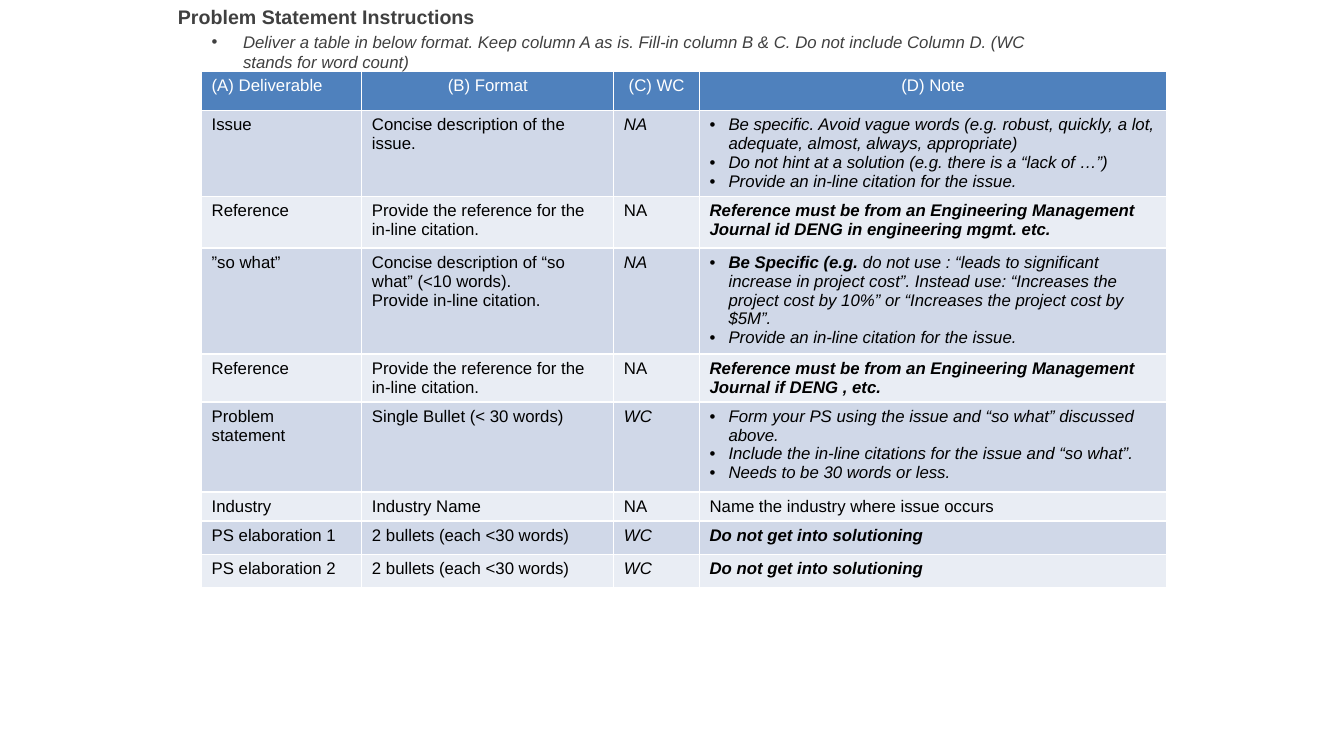
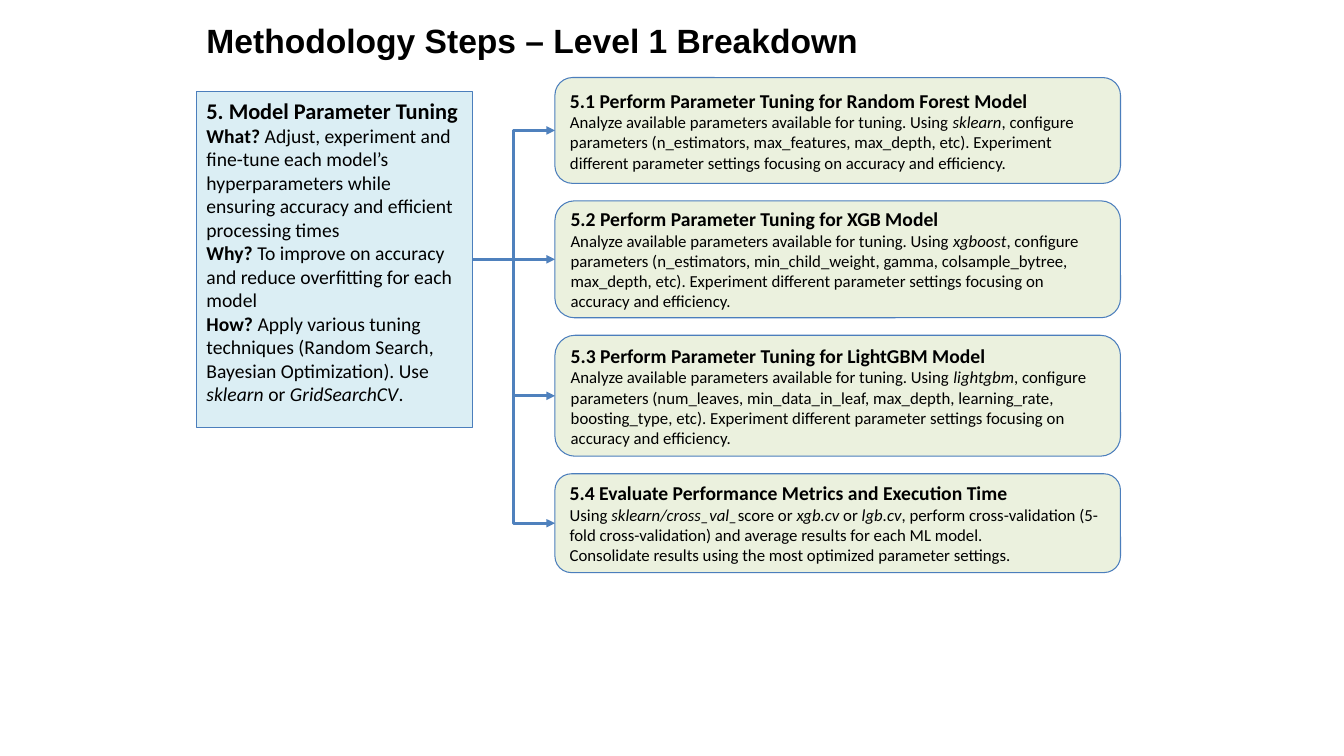
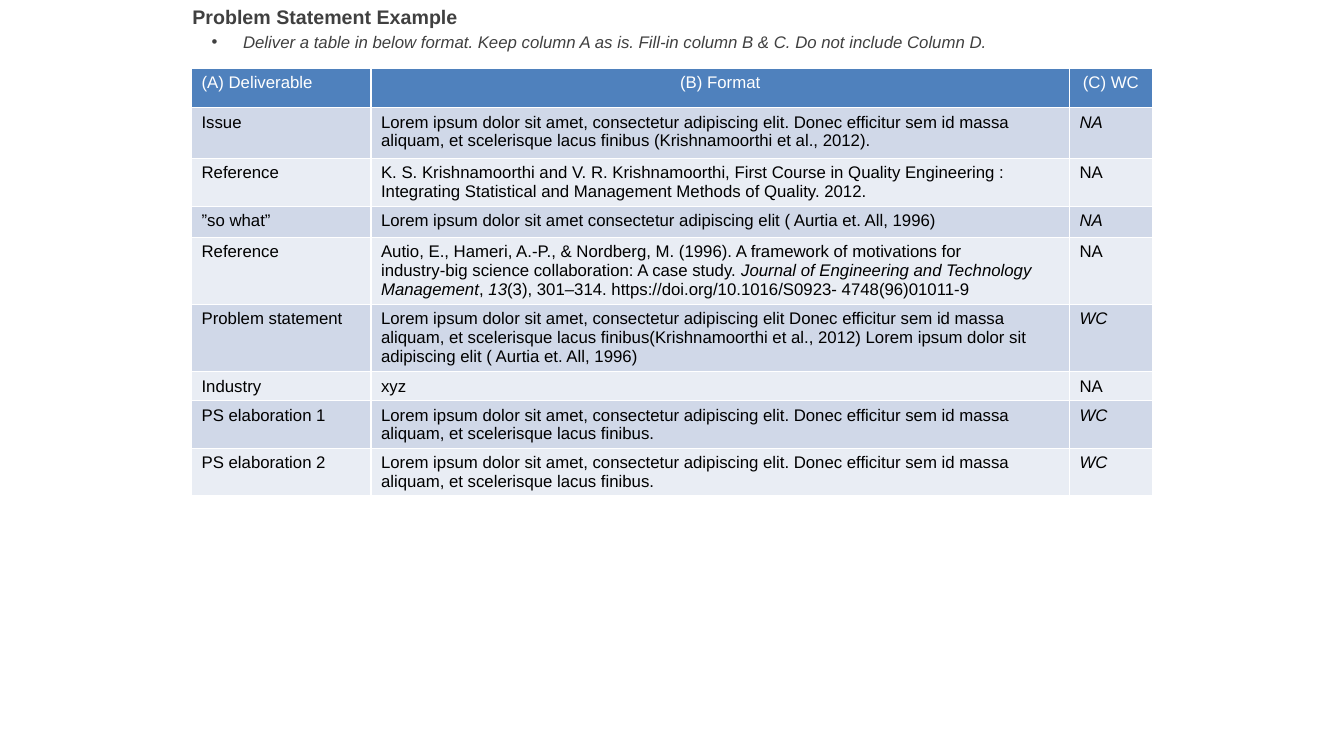
"""Builds three slides: problem statement instructions, methodology steps and an example."""
import pptx
import pptx.dml.color
import pptx.enum.shapes
import pptx.enum.text
import pptx.util
from lxml import etree
from pptx.oxml.ns import qn

Pt = pptx.util.Pt
ALIGN = pptx.enum.text.PP_ALIGN
ANCHOR = pptx.enum.text.MSO_ANCHOR
SHAPE = pptx.enum.shapes.MSO_SHAPE
LINK = pptx.enum.shapes.MSO_CONNECTOR

BLACK, WHITE, GREY = "000000", "FFFFFF", "404040"
BLUE, EDGE = "4F81BD", "4B7EBC"
BANDS = ["E9EDF4", "D0D8E8"]
SKY, LEAF = "DBEEF4", "EBF1DE"


def tint(hue):
    return pptx.dml.color.RGBColor.from_string(hue)


def write(frame, text, size, hue, face="Arial", head=None, indent=13.5):
    """Write one paragraph a line; * marks bold, ~ marks italic, a leading • a bullet."""
    frame.word_wrap = True
    for row, line in enumerate(text.split("\n")):
        para = frame.paragraphs[0] if row == 0 else frame.add_paragraph()
        para.alignment = ALIGN.LEFT
        if line.startswith("•"):
            props = para._p.get_or_add_pPr()
            props.set("marL", str(Pt(indent)))
            props.set("indent", str(-Pt(indent)))
            etree.SubElement(props, qn("a:buFont")).set("typeface", "Arial")
            etree.SubElement(props, qn("a:buChar")).set("char", "•")
            line = line[1:]
        parts = [(bit, bold % 2 == 1, slant % 2 == 1)
                 for bold, chunk in enumerate(line.split("*"))
                 for slant, bit in enumerate(chunk.split("~")) if bit]
        para.font.name = face
        para.font.size = Pt(head if head and row == 0 else size)
        para.font.color.rgb = tint(hue)
        for bit, bold, slant in parts:
            run = para.add_run()
            run.text = bit
            font = para.font if len(parts) == 1 else run.font
            font.bold, font.italic = bold, slant


deck = pptx.Presentation()
deck.slide_width, deck.slide_height = Pt(960), Pt(540)

NOTE = "Deliver a table in below format. Keep column A as is. Fill-in column B & C. Do not include Column D."
LOREM = "Lorem ipsum dolor sit amet, consectetur adipiscing elit"
DONEC = "Donec efficitur sem id massa aliquam, et scelerisque lacus finibus"
CITE = "Provide the reference for the in-line citation."
TWO = "2 bullets (each <30 words)"
JOURNAL = "Reference must be from an Engineering Management Journal"
SOLVE = "*~Do not get into solutioning~*"

LABELS = ["(A) Deliverable", "Issue", "Reference", "”so what”", "Reference",
          "Problem statement", "Industry", "PS elaboration 1", "PS elaboration 2"]
COUNTS = ["(C) WC", "~NA~", "NA", "~NA~", "NA", "~WC~", "NA", "~WC~", "~WC~"]

rules = [
    "(B) Format",
    "Concise description of the issue.",
    CITE,
    "Concise description of “so what” (<10 words).\nProvide in-line citation.",
    CITE,
    "Single Bullet (< 30 words)",
    "Industry Name",
    TWO,
    TWO,
]
notes = [
    "(D) Note",
    "•~Be specific. Avoid vague words (e.g. robust, quickly, a lot, adequate, almost, always, appropriate)~\n"
    "•~Do not hint at a solution (e.g. there is a “lack of …”)~\n"
    "•~Provide an in-line citation for the issue.~",
    f"*~{JOURNAL} id DENG in engineering mgmt. etc.~*",
    "•*~Be Specific (e.g. ~*~do not use : “leads to significant increase in project cost”. "
    "Instead use: “Increases the project cost by 10%” or “Increases the project cost by $5M”.~\n"
    "•~Provide an in-line citation for the issue.~",
    f"*~{JOURNAL} if DENG , etc.~*",
    "•~Form your PS using the issue and “so what” discussed above.~\n"
    "•~Include the in-line citations for the issue and “so what”.~\n"
    "•~Needs to be 30 words or less.~",
    "Name the industry where issue occurs",
    SOLVE,
    SOLVE,
]
samples = [
    "(B) Format",
    f"{LOREM}. {DONEC} (Krishnamoorthi et al., 2012).",
    "K. S. Krishnamoorthi and V. R. Krishnamoorthi, First Course in Quality Engineering : "
    "Integrating Statistical and Management Methods of Quality. 2012.",
    "Lorem ipsum dolor sit amet consectetur adipiscing elit ( Aurtia et. All, 1996)",
    "Autio, E., Hameri, A.-P., & Nordberg, M. (1996). A framework of motivations for\n"
    "industry-big science collaboration: A case study. ~Journal of Engineering and Technology "
    "Management~, ~13~(3), 301–314. https://doi.org/10.1016/S0923- 4748(96)01011-9",
    f"{LOREM} {DONEC}(Krishnamoorthi et al., 2012) "
    "Lorem ipsum dolor sit adipiscing elit ( Aurtia et. All, 1996)",
    "xyz",
    f"{LOREM}. {DONEC}.",
    f"{LOREM}. {DONEC}.",
]

steps = [
    (75.6, "*5.1 Perform Parameter Tuning for Random Forest Model*\n"
     "Analyze available parameters available for tuning. Using ~sklearn~, configure parameters "
     "(n_estimators, max_features, max_depth, etc). Experiment different parameter settings "
     "focusing on accuracy and efficiency."),
    (83.5, "*5.2 Perform Parameter Tuning for XGB Model*\n"
     "Analyze available parameters available for tuning. Using ~xgboost~, configure parameters "
     "(n_estimators, min_child_weight, gamma, colsample_bytree, max_depth, etc). Experiment "
     "different parameter settings focusing on accuracy and efficiency."),
    (86.4, "*5.3 Perform Parameter Tuning for LightGBM Model*\n"
     "Analyze available parameters available for tuning. Using ~lightgbm~, configure parameters "
     "(num_leaves, min_data_in_leaf, max_depth, learning_rate, boosting_type, etc). Experiment "
     "different parameter settings focusing on accuracy and efficiency."),
    (70.6, "*5.4 Evaluate Performance Metrics and Execution Time*\n"
     "Using ~sklearn/cross_val_~score or ~xgb.cv ~or ~lgb.cv~, perform cross-validation "
     "(5-fold cross-validation) and average results for each ML model.\n"
     "Consolidate results using the most optimized parameter settings."),
]
model = (
    "*5. Model Parameter Tuning*\n"
    "*What?* Adjust, experiment and fine-tune each model’s hyperparameters while ensuring "
    "accuracy and efficient processing times\n"
    "*Why?* To improve on accuracy and reduce overfitting for each model\n"
    "*How?* Apply various tuning techniques (Random Search, Bayesian Optimization). "
    "Use ~sklearn~ or ~GridSearchCV~."
)

titles = [
    ("Problem Statement Instructions", 120, 0, 14, GREY),
    ("Methodology Steps – Level 1 Breakdown", 140.4, 10.8, 24, BLACK),
    ("Problem Statement Example", 130.3, 0, 14, GREY),
]
slides = []
for title, left, top, size, hue in titles:
    slide = deck.slides.add_slide(deck.slide_layouts[6])
    box = slide.shapes.add_textbox(Pt(left), Pt(top), Pt(610), Pt(31))
    write(box.text_frame, f"*{title}*", size, hue)
    slides.append(slide)

grids = [
    (slides[0], NOTE + " (WC stands for word count)", 144, 51, [114.5, 180, 61.2, 333.6],
     [28, 60.7, 37, 74.3, 34.3, 64.3, 20.7, 24, 24], [LABELS, rules, COUNTS, notes]),
    (slides[2], NOTE, 136.8, 49, [128.2, 499, 59],
     [28, 36, 34.3, 22.3, 48, 48, 20.7, 34, 34], [LABELS, samples, COUNTS]),
]
for slide, note, left, top, widths, heights, columns in grids:
    table = slide.shapes.add_table(len(heights), len(widths), Pt(left), Pt(top),
                                   Pt(sum(widths)), Pt(sum(heights))).table
    for row, height in enumerate(heights):
        table.rows[row].height = Pt(height)
    for col, (width, texts) in enumerate(zip(widths, columns)):
        table.columns[col].width = Pt(width)
        for row, text in enumerate(texts):
            cell = table.cell(row, col)
            cell.margin_bottom = 0
            cell.fill.solid()
            cell.fill.fore_color.rgb = tint(BANDS[row % 2] if row else BLUE)
            write(cell.text_frame, text, 12, BLACK if row else WHITE)
            if row == 0 and col:
                cell.text_frame.paragraphs[0].alignment = ALIGN.CENTER
    box = slide.shapes.add_textbox(Pt(144), Pt(19), Pt(610.6), Pt(31))
    write(box.text_frame, f"•~{note}~", 12, GREY, indent=22.5)

shapes = slides[1].shapes
top, gap = 55.4, 12.5
cards = [(SHAPE.RECTANGLE, 140.4, 65.5, 197.3, 239.8, SKY, model, 14, 16, ANCHOR.TOP)]
for height, text in steps:
    cards.append((SHAPE.ROUNDED_RECTANGLE, 396.4, top, 404, height, LEAF, text, 12, 14, ANCHOR.MIDDLE))
    top += height + gap

boxes = []
for kind, left, top, width, height, hue, text, size, head, anchor in cards:
    box = shapes.add_shape(kind, Pt(left), Pt(top), Pt(width), Pt(height))
    box.shadow.inherit = False
    box.fill.solid()
    box.fill.fore_color.rgb = tint(hue)
    box.line.color.rgb = tint(EDGE)
    box.line.width = Pt(0.75)
    box.text_frame.vertical_anchor = anchor
    write(box.text_frame, text, size, BLACK, "Calibri", head)
    boxes.append(box)

for box in boxes[1:]:
    link = shapes.add_connector(LINK.ELBOW, 0, 0, 0, 0)
    link.begin_connect(boxes[0], 3)
    link.end_connect(box, 1)
    link.line.color.rgb = tint(BLUE)
    link.line.width = Pt(2)
    etree.SubElement(link.line._get_or_add_ln(), qn("a:tailEnd")).set("type", "triangle")
    etree.SubElement(link._element.spPr, qn("a:effectLst"))

deck.save("out.pptx")
